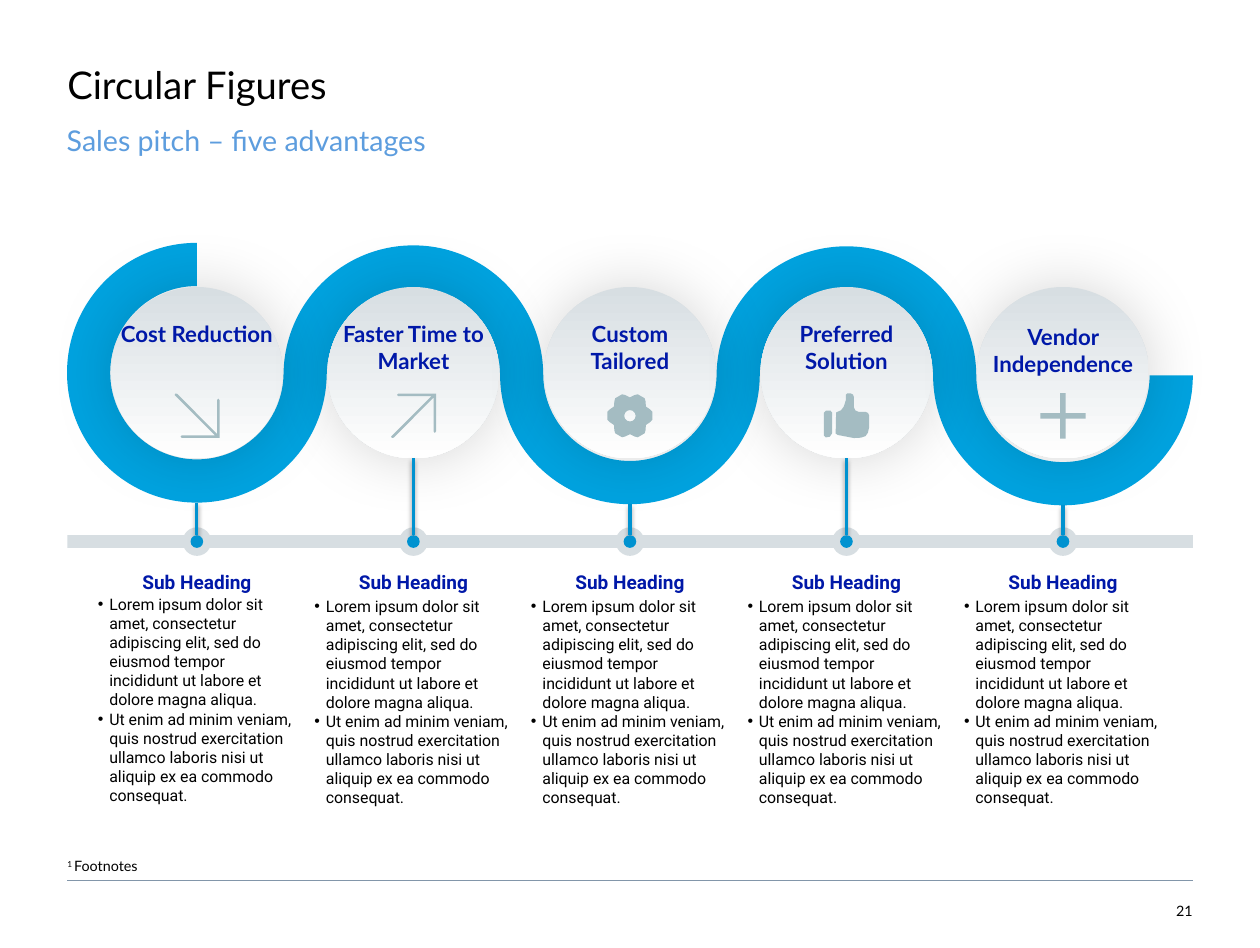
import math

from lxml import etree
from pptx import Presentation
from pptx.dml import color
from pptx.enum import shapes, text
from pptx.oxml import ns
from pptx.util import Pt

NAVY, CYAN, BLUE, GREY, STEEL = "0018A8", "00A3E0", "0092D0", "D7DEE2", "A4BCC2"
LEFT, RIGHT = 42.4, 751.2
FIRST, PITCH, BAND = 124, 136.35, 27.2
ICON_Y = 261.8
LEVELS = [234.7, 236.3, 235.7, 236.9, 236.4]
HEADS = ["Cost Reduction", "Faster Time to Market", "Custom Tailored",
         "Preferred Solution", "Vendor Independence"]
ITEMS = ["Lorem ipsum dolor sit amet, consectetur adipiscing elit, sed do eiusmod "
         "tempor incididunt ut labore et dolore magna aliqua.",
         "Ut enim ad minim veniam, quis nostrud exercitation ullamco laboris nisi ut "
         "aliquip ex ea commodo consequat."]

# Icon outlines, measured from the icon centre
ARROW = [(-14, -13), (-13.6, -14), (-12.4, -13.8), (12.7, 11.4), (12.7, -9.8),
         (13.5, -10.8), (14.3, -9.8), (14.3, 14), (-9.5, 14), (-10.3, 13.1),
         (-9.5, 12.3), (11.4, 12.3)]
CUFF = [(-10, -3.2), (-13, -3.2), (-14.2, -2), (-14.2, 12.4), (-13, 13.6),
        (-10.5, 13.2), (-9, 11), (-9, -2)]
PALM = [(7.6, -2.5), (5.6, -3.4), (4.7, -5.4), (4.7, -11.9), (4.1, -13.4),
        (2.5, -14.2), (0.5, -14.1), (-0.4, -13.2), (-0.4, -9.7), (-1.7, -5.8),
        (-3.4, -3.5), (-6.5, -2.1), (-6.8, 11.2), (-5.4, 12.1), (4.7, 14),
        (9, 13.8), (12, 12.8), (13.5, 10.7), (14.2, 7.6), (14.2, -0.4),
        (13.6, -1.8), (11.9, -2.5)]
TOOTH = [(-17, 13.4), (-10, 14.4), (10, 14.4), (17, 13.4), (30, 11.6)]


def rgb(code):
    return color.RGBColor.from_string(code)


def polar(r, deg):
    a = math.radians(deg)
    return r * math.cos(a), r * math.sin(a)


def arc(x, y, r, start, end):
    # Quarter turns, each one a start point, two handles and an end point
    step = 90 if end > start else -90
    bend = 0.5523 * step / 90
    dots = [(x + polar(r, start)[0], y + polar(r, start)[1])]
    for a in range(start, end, step):
        (px, py), (qx, qy) = polar(r, a), polar(r, a + step)
        dots += [(x + px - bend * py, y + py + bend * px),
                 (x + qx + bend * qy, y + qy - bend * qx),
                 (x + qx, y + qy)]
    return dots


def link(one, two):
    # A straight step joins two curves
    return one + [two[0]] * 2 + two if one else two


def shade(holder, alpha, blur, dist, angle):
    shadow = etree.SubElement(holder, ns.qn("a:outerShdw"), blurRad=str(Pt(blur)),
                              dist=str(Pt(dist)), dir=str(angle * 60000),
                              algn="ctr", rotWithShape="0")
    tint = etree.SubElement(shadow, ns.qn("a:srgbClr"), val="000000")
    etree.SubElement(tint, ns.qn("a:alpha"), val=str(alpha * 1000))


def paint(shape, fill):
    shape.shadow.inherit = False
    shape.fill.solid()
    shape.fill.fore_color.rgb = rgb(fill)
    shape.line.fill.background()
    return shape


def draw(slide, kind, x, y, w, h, fill):
    return paint(slide.shapes.add_shape(kind, Pt(x), Pt(y), Pt(w), Pt(h)), fill)


def disc(slide, x, y, size, fill):
    return draw(slide, shapes.MSO_SHAPE.OVAL, x - size / 2, y - size / 2,
                size, size, fill)


def trace(slide, loops, fill, x=0, y=0):
    pen = None
    for loop in loops:
        dots = [(Pt(x + a), Pt(y + b)) for a, b in loop]
        if pen is None:
            pen = slide.shapes.build_freeform(*dots[0])
        else:
            pen.move_to(*dots[0])
        pen.add_line_segments(dots[1:], close=True)
    return paint(pen.convert_to_shape(), fill)


def smooth(shape):
    steps = list(shape._element.iter(ns.qn("a:lnTo")))
    for i in range(0, len(steps), 3):
        curve = etree.Element(ns.qn("a:cubicBezTo"))
        steps[i].addprevious(curve)
        for step in steps[i:i + 3]:
            curve.append(step[0])
            step.getparent().remove(step)


def rule(slide, x1, y1, x2, y2, tint, width):
    line = slide.shapes.add_connector(shapes.MSO_CONNECTOR.STRAIGHT,
                                      Pt(x1), Pt(y1), Pt(x2), Pt(y2))
    line.line.color.rgb = rgb(tint)
    line.line.width = Pt(width)
    return etree.SubElement(line._element.spPr, ns.qn("a:effectLst"))


def place(shape, x, y, w, h, inset=(0, 0, 0, 0)):
    shape.left, shape.top, shape.width, shape.height = Pt(x), Pt(y), Pt(w), Pt(h)
    frame = shape.text_frame
    frame.word_wrap = True
    frame.auto_size = text.MSO_AUTO_SIZE.NONE
    frame.vertical_anchor = text.MSO_ANCHOR.TOP
    (frame.margin_left, frame.margin_top,
     frame.margin_right, frame.margin_bottom) = map(Pt, inset)
    return frame


def style(frame, size, tint="000000", face="Lato", bold=False,
          align=text.PP_ALIGN.LEFT, space=None):
    for para in frame.paragraphs:
        para.alignment = align
        para.line_spacing = space
        for run in para.runs:
            font = run.font
            font.size, font.name, font.bold = Pt(size), face, bold
            font.color.rgb = rgb(tint)


def label(slide, words, x, y, w, h, size, inset=(0, 0, 0, 0), **look):
    frame = place(slide.shapes.add_textbox(0, 0, 0, 0), x, y, w, h, inset)
    frame.text = words
    style(frame, size, **look)
    return frame


def ribbon(slide, mids):
    # Turns run under odd circles and over even ones
    upper, lower = [], []
    for i, (x, y) in enumerate(zip(mids, LEVELS)):
        side = BAND / 2 if i % 2 else -BAND / 2
        start, end = (180, 360) if i % 2 else (180 if i else 270, 0)
        upper = link(upper, arc(x, y, PITCH / 2 + side, start, end))
        lower = link(lower, arc(x, y, PITCH / 2 - side, start, end))
    outline = link(upper, lower[::-1])
    smooth(trace(slide, [outline], CYAN))


def bullets(slide, x, y):
    frame = label(slide, "\n".join(ITEMS), x - 62.3, y, 124.6, 142.6, 10,
                  face="Roboto")
    for para in frame.paragraphs:
        props = para._p.get_or_add_pPr()
        props.set("marL", str(Pt(7.2)))
        props.set("indent", str(Pt(-7.2)))
        etree.SubElement(props, ns.qn("a:buFont"), typeface="Arial")
        etree.SubElement(props, ns.qn("a:buChar"), char="•")


def icons(slide, mids):
    trace(slide, [ARROW], STEEL, mids[0], ICON_Y)
    trace(slide, [[(a, -b) for a, b in ARROW]], STEEL, mids[1], ICON_Y)
    gear = [polar(r, turn + a) for turn in range(0, 360, 60) for a, r in TOOTH]
    hole = [polar(3.6, a) for a in range(360, 0, -30)]
    trace(slide, [gear, hole], STEEL, mids[2], ICON_Y)
    trace(slide, [CUFF, PALM], STEEL, mids[3], ICON_Y)
    plus = draw(slide, shapes.MSO_SHAPE.CROSS, mids[4] - 14.3, ICON_Y - 14.3,
                28.6, 28.6, STEEL)
    plus.adjustments[0] = 0.44


def main():
    deck = Presentation()
    deck.slide_width, deck.slide_height = Pt(793.44), Pt(596.88)
    slide = deck.slides.add_slide(deck.slide_layouts[5])
    mids = [FIRST + PITCH * i for i in range(5)]
    center = text.PP_ALIGN.CENTER

    # Title and subtitle
    title = place(slide.shapes.title, LEFT, 21.6, 666, 77.8, (0, 20.2, 21.6, 0))
    title.text = "Circular Figures"
    style(title, 24, space=0.9)
    label(slide, "Sales pitch – five advantages", 42, 79.9, 721.4, 23.8, 18,
          tint="5D9DDE", space=0.9)

    # Ribbon and circles
    ribbon(slide, mids)
    for x in mids:
        ball = disc(slide, x, 234.7, 108, GREY)
        ball.fill.gradient()
        ball.fill.gradient_angle = 270
        for stop, tint in zip(ball.fill.gradient_stops, (GREY, "FFFFFF")):
            stop.color.rgb = rgb(tint)
        shade(ball._element.spPr.find(ns.qn("a:effectLst")), 17, 40, 0, 45)

    # Time bar with stems
    draw(slide, shapes.MSO_SHAPE.RECTANGLE, LEFT, 337, RIGHT - LEFT, 8, GREY)
    for i, x in enumerate(mids):
        disc(slide, x, 341, 18, GREY)
        top = 288.7 if i % 2 else LEVELS[i] + (PITCH + BAND) / 2
        shade(rule(slide, x, top, x, 337, BLUE, 2), 38, 3.1, 1.6, 90)
        disc(slide, x, 341, 8, BLUE)

    # Circle headings, icons and columns
    for i, (x, head) in enumerate(zip(mids, HEADS)):
        label(slide, head, x - 48.6, 203.8 if i == 4 else 201.6, 97.2, 32.4, 14,
              tint=NAVY, bold=True, align=center)
        label(slide, "Sub Heading", x - 48.6, 359.3, 97.2, 13.7, 12,
              tint=NAVY, face="Roboto", bold=True, align=center)
        bullets(slide, x, 375.8 if i else 374.4)
    icons(slide, mids)

    # Footnote and page number
    note = label(slide, "1 ", LEFT, 540, RIGHT - LEFT, 19.4, 9)
    note.paragraphs[0].add_run().text = "Footnotes"
    style(note, 9)
    note.paragraphs[0].runs[0]._r.get_or_add_rPr().set("baseline", "30000")
    rule(slide, LEFT, 554.4, RIGHT, 554.4, "8296AA", 0.5)
    page = label(slide, "21", 708.5, 554.4, 42.5, 24.5, 9, (0, 2.9, 0, 0),
                 align=text.PP_ALIGN.RIGHT)
    page.vertical_anchor = text.MSO_ANCHOR.BOTTOM

    deck.save("out.pptx")


if __name__ == "__main__":
    main()
